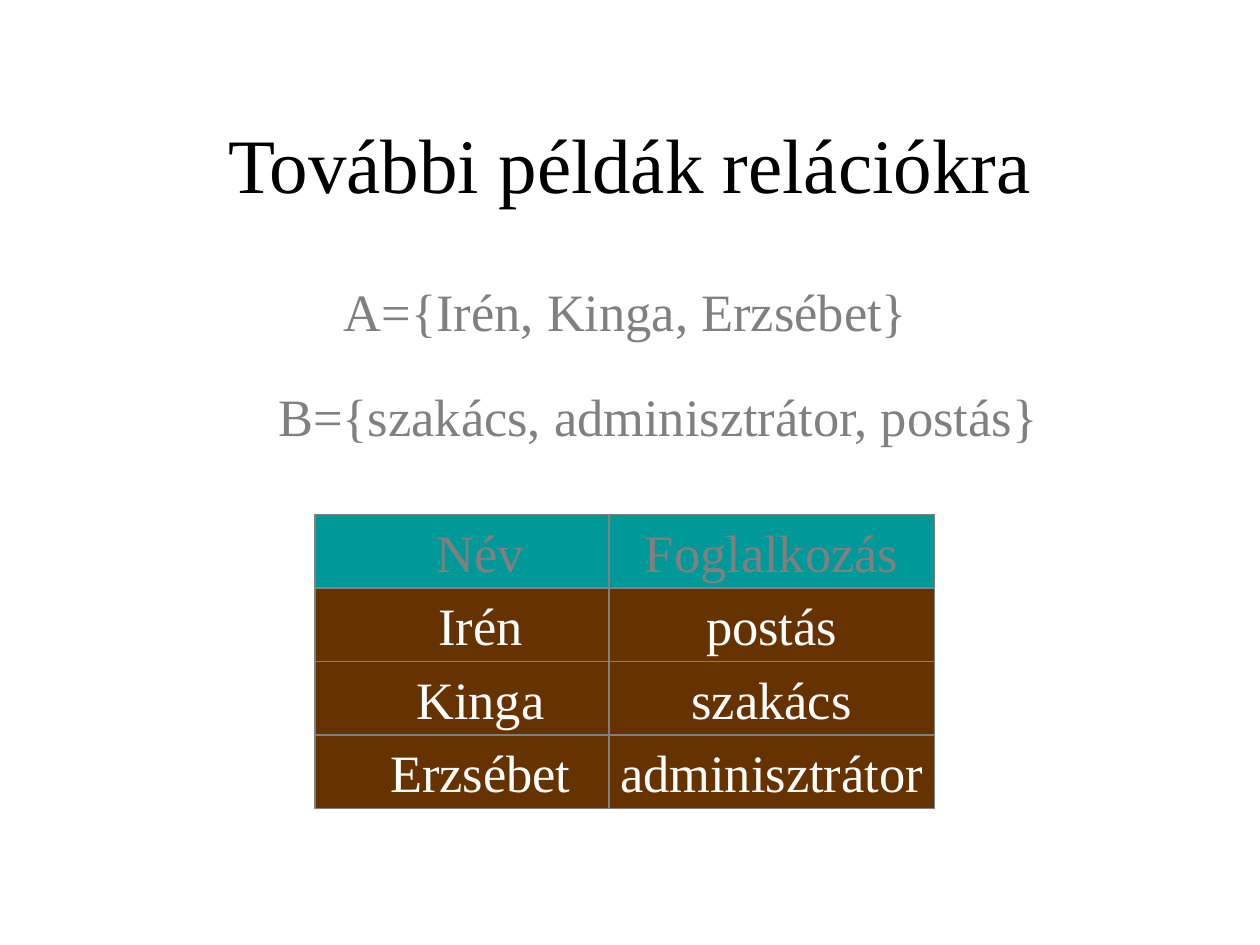
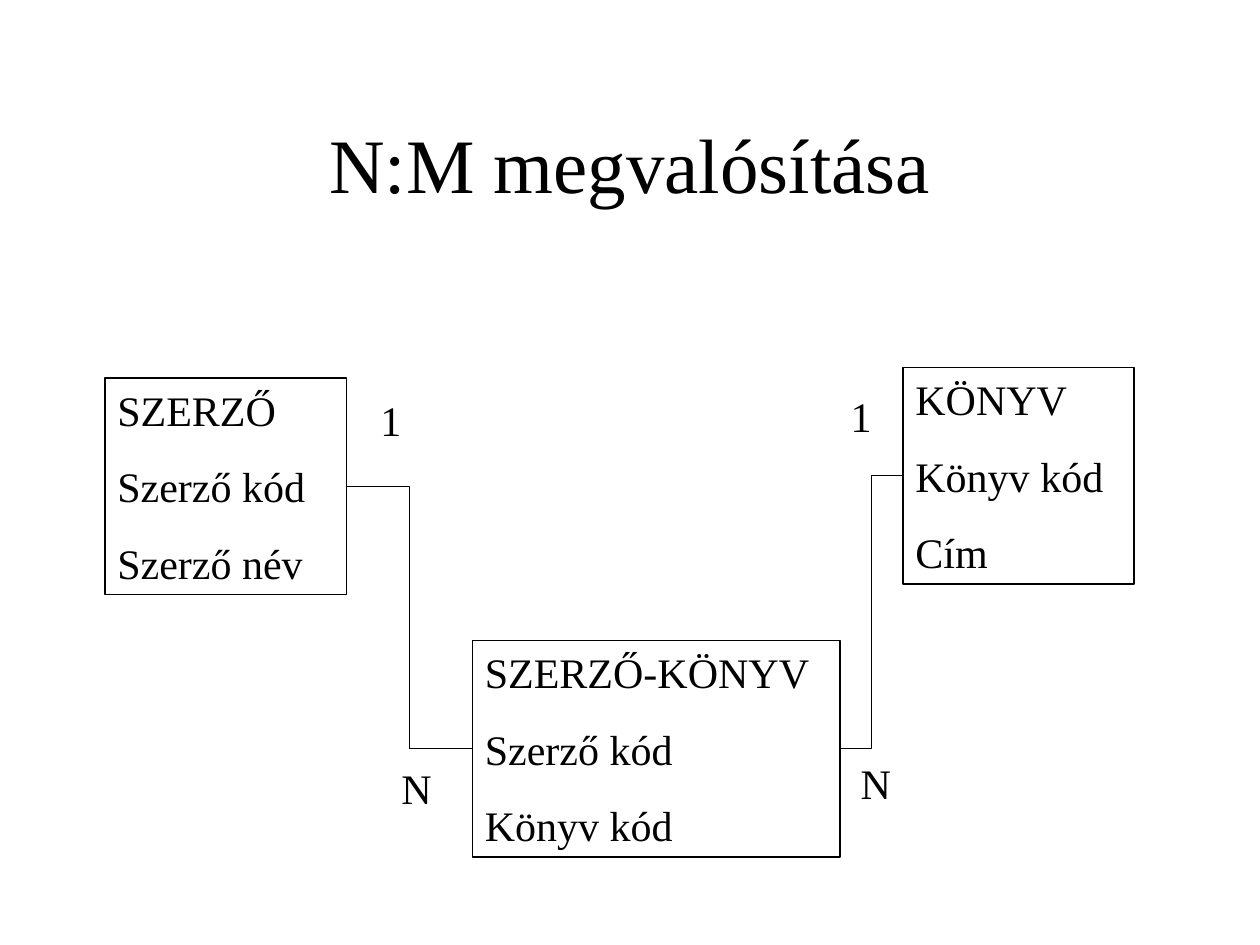
from dataclasses import dataclass

from lxml import etree
from pptx import Presentation
from pptx.dml.color import RGBColor
from pptx.enum.shapes import MSO_CONNECTOR, MSO_SHAPE
from pptx.enum.text import MSO_ANCHOR, MSO_AUTO_SIZE, PP_ALIGN
from pptx.oxml.ns import qn
from pptx.util import Pt

ELBOW = MSO_CONNECTOR.ELBOW
RECT = MSO_SHAPE.RECTANGLE
TOP, MIDDLE = MSO_ANCHOR.TOP, MSO_ANCHOR.MIDDLE
LEFT, CENTER = PP_ALIGN.LEFT, PP_ALIGN.CENTER
FIXED = MSO_AUTO_SIZE.NONE

FONT = "Times New Roman"
BLACK, WHITE, GREY = "000000", "FFFFFF", "808080"
TEAL, BROWN = "009999", "663300"
LINE = 0.75
LEFT_SITE, RIGHT_SITE = 1, 3


@dataclass(frozen=True)
class Style:
    size: float
    color: str
    align: PP_ALIGN = LEFT
    before: float = 0


@dataclass(frozen=True)
class Area:
    x: float
    y: float
    w: float
    h: float


@dataclass(frozen=True)
class Label:
    text: str
    area: Area
    wrap: bool = False


@dataclass(frozen=True)
class Entity:
    rows: tuple[str, ...]
    area: Area


TITLE = Style(44, BLACK, CENTER)
SET = Style(30, GREY, CENTER)
CELL = Style(30, WHITE, CENTER)
FIELD = Style(24, BLACK, LEFT, 15)
COUNT = Style(24, BLACK)

SETS = (
    Label("A={Irén, Kinga, Erzsébet}", Area(102, 156, 511.2, 43.2), True),
    Label("B={szakács, adminisztrátor, postás}", Area(151.2, 216, 450, 43.2)),
)
JOBS = (
    ("Név", "Foglalkozás"),
    ("Irén", "postás"),
    ("Kinga", "szakács"),
    ("Erzsébet", "adminisztrátor"),
)
COLS = ((180, 189), (348, 186))
HEAD, ROW = 294, 42

TALL = 123.75
AUTHOR = Entity(("SZERZŐ", "Szerző kód", "Szerző név"), Area(60, 216, 138, TALL))
LINK = Entity(("SZERZŐ-KÖNYV", "Szerző kód", "Könyv kód"), Area(270, 366, 210, TALL))
BOOK = Entity(("KÖNYV", "Könyv kód", "Cím"), Area(516, 210, 132, TALL))
COUNTS = (
    Label("1", Area(210.25, 222, 26, 36)),
    Label("N", Area(222.25, 432, 31.75, 36)),
    Label("1", Area(479, 219.5, 26, 36)),
    Label("N", Area(484.75, 429.25, 31.75, 36)),
)


def rgb(color: str) -> RGBColor:
    return RGBColor.from_string(color)


def place(area: Area) -> tuple[Pt, ...]:
    return tuple(Pt(v) for v in (area.x, area.y, area.w, area.h))


def write(frame, rows: tuple[str, ...], style: Style) -> None:
    for i, text in enumerate(rows):
        para = frame.add_paragraph() if i else frame.paragraphs[0]
        para.alignment = style.align
        para.space_before = Pt(style.before)
        run = para.add_run()
        run.text = text
        run.font.name = FONT
        run.font.size = Pt(style.size)
        run.font.color.rgb = rgb(style.color)


def start(deck, text: str, inset: float):
    slide = deck.slides.add_slide(deck.slide_layouts[5])
    title = slide.shapes.title
    area = Area(inset, 48, 720 - 2 * inset, 90)
    title.left, title.top, title.width, title.height = place(area)
    frame = title.text_frame
    frame.auto_size = FIXED
    frame.vertical_anchor = MIDDLE
    write(frame, (text,), TITLE)
    return slide


def draw_label(slide, label: Label, style: Style) -> None:
    frame = slide.shapes.add_textbox(*place(label.area)).text_frame
    frame.word_wrap = label.wrap
    write(frame, (label.text,), style)


def draw_box(slide, area: Area, edge: str, fill: str | None = None):
    box = slide.shapes.add_shape(RECT, *place(area))
    box.shadow.inherit = False
    if fill:
        box.fill.solid()
        box.fill.fore_color.rgb = rgb(fill)
    else:
        box.fill.background()
    box.line.color.rgb = rgb(edge)
    box.line.width = Pt(LINE)
    return box


def draw_entity(slide, entity: Entity):
    box = draw_box(slide, entity.area, BLACK)
    box.text_frame.word_wrap = True
    box.text_frame.vertical_anchor = TOP
    write(box.text_frame, entity.rows, FIELD)
    return box


def draw_jobs(slide) -> None:
    for r, texts in enumerate(JOBS):
        for (x, width), text in zip(COLS, texts):
            area = Area(x, HEAD + r * ROW, width, ROW)
            frame = draw_box(slide, area, GREY, BROWN if r else TEAL).text_frame
            frame.word_wrap = False
            frame.vertical_anchor = MIDDLE
            write(frame, (text,), CELL if r else SET)


def join(slide, head, head_site: int, tail, tail_site: int) -> None:
    line = slide.shapes.add_connector(ELBOW, 0, 0, 0, 0)
    line.begin_connect(head, head_site)
    line.end_connect(tail, tail_site)
    line.line.color.rgb = rgb(BLACK)
    line.line.width = Pt(LINE)
    etree.SubElement(line._element.spPr, qn("a:effectLst"))


def main() -> None:
    deck = Presentation()
    deck.slide_width, deck.slide_height = Pt(720), Pt(540)

    slide = start(deck, "További példák relációkra", 18)
    for label in SETS:
        draw_label(slide, label, SET)
    draw_jobs(slide)

    slide = start(deck, "N:M megvalósítása", 54)
    author, link, book = (draw_entity(slide, e) for e in (AUTHOR, LINK, BOOK))
    join(slide, author, RIGHT_SITE, link, LEFT_SITE)
    join(slide, book, LEFT_SITE, link, RIGHT_SITE)
    for label in COUNTS:
        draw_label(slide, label, COUNT)

    deck.save("out.pptx")


if __name__ == "__main__":
    main()
